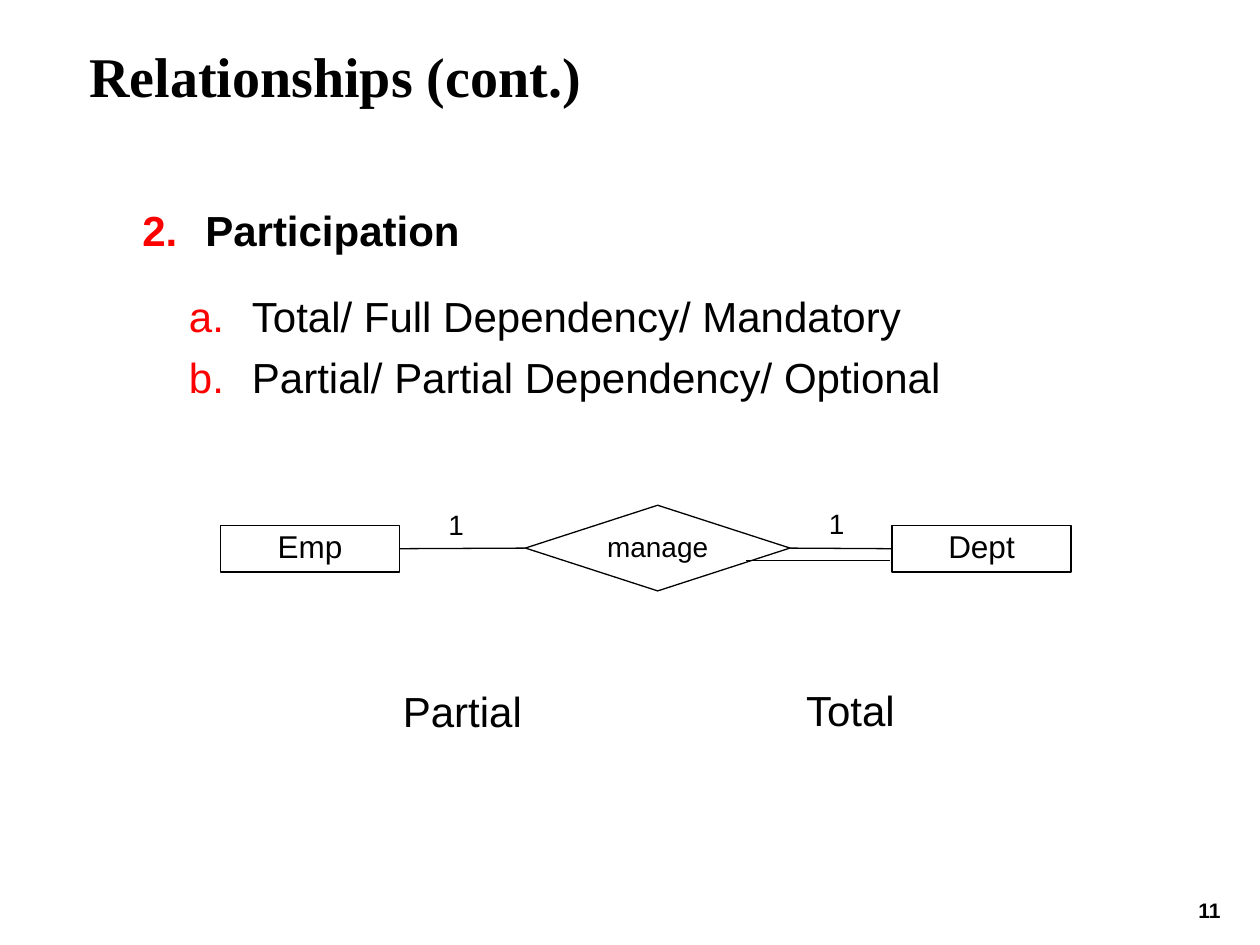
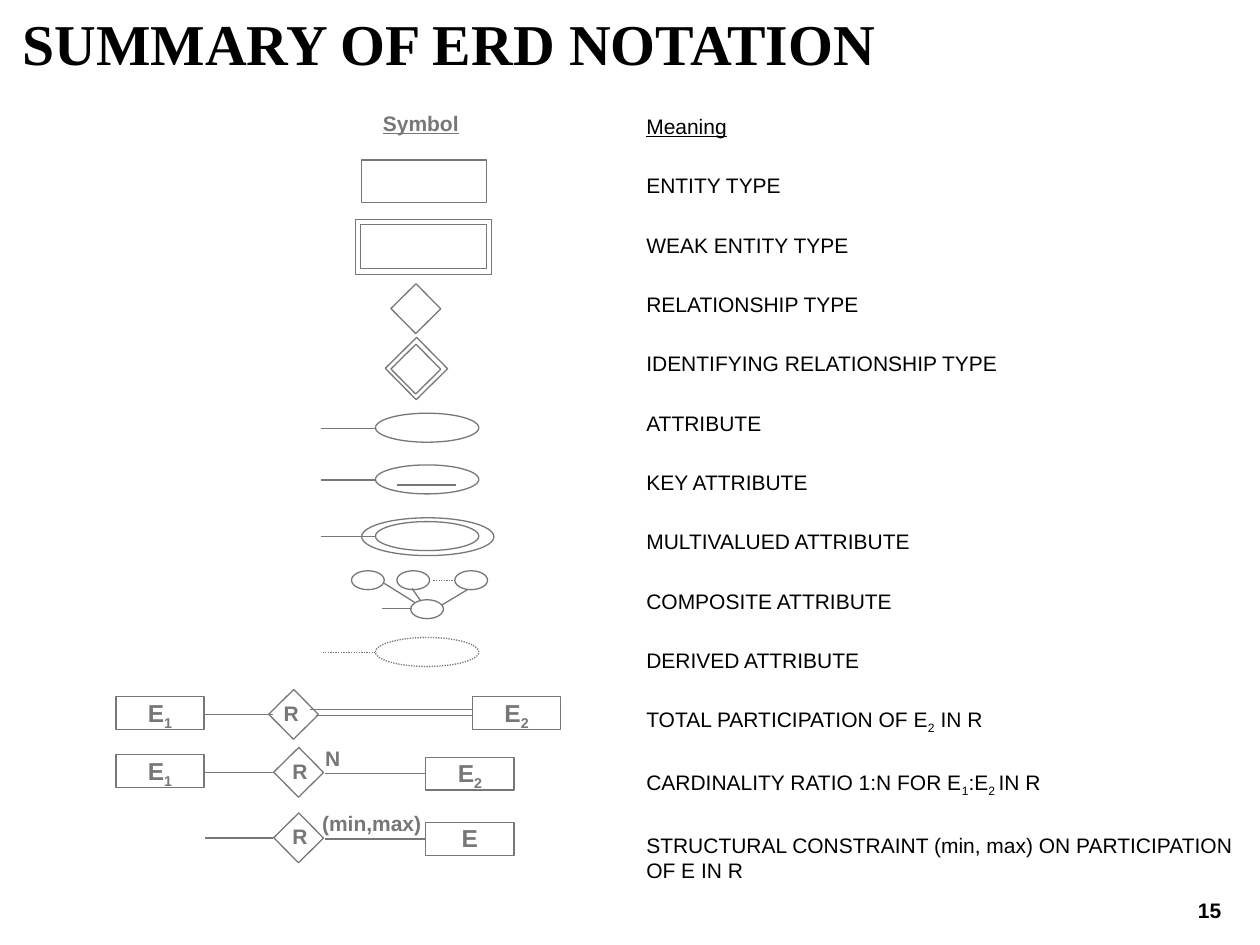
from pptx import Presentation
from pptx.dml.color import RGBColor
from pptx.enum.dml import MSO_LINE
from pptx.enum.shapes import MSO_CONNECTOR, MSO_SHAPE
from pptx.enum.text import MSO_ANCHOR, PP_ALIGN
from pptx.oxml.ns import qn
from pptx.util import Inches, Pt
from lxml.etree import SubElement

BLACK = RGBColor(0x00, 0x00, 0x00)
GRAY = RGBColor(0x77, 0x77, 0x77)
RED = RGBColor(0xFD, 0x00, 0x00)
BODY_FONT = "Arial"
TITLE_FONT = "Times New Roman"

MEANINGS = [
    "ENTITY TYPE",
    "WEAK ENTITY TYPE",
    "RELATIONSHIP TYPE",
    "IDENTIFYING RELATIONSHIP TYPE",
    "ATTRIBUTE",
    "KEY ATTRIBUTE",
    "MULTIVALUED ATTRIBUTE",
    "COMPOSITE ATTRIBUTE",
    "DERIVED ATTRIBUTE",
    "TOTAL PARTICIPATION OF E~2~ IN R",
    "CARDINALITY RATIO 1:N FOR E~1~:E~2 ~IN R",
    "STRUCTURAL CONSTRAINT (min, max) ON PARTICIPATION OF E IN R",
]


def write(p, text, size=12, font=BODY_FONT, color=BLACK, bold=False, underline=False,
          align=PP_ALIGN.LEFT, spacing=1.0, before=0, after=0):
    p.alignment = align
    p.line_spacing = spacing
    p.space_before, p.space_after = Pt(before), Pt(after)
    for i, part in enumerate(text.split("~")):
        if not part:
            continue
        r = p.add_run()
        r.text = part
        r.font.size, r.font.name = Pt(size), font
        r.font.bold, r.font.underline = bold, underline
        r.font.color.rgb = color
        if i % 2:
            r.font._element.set("baseline", "-25000")


def set_frame(tf, inset_x, inset_y, wrap, anchor=MSO_ANCHOR.TOP):
    tf.word_wrap = wrap
    tf.vertical_anchor = anchor
    tf.margin_left = tf.margin_right = Inches(inset_x)
    tf.margin_top = tf.margin_bottom = Inches(inset_y)


def add_frame(s, box, inset_x=0, inset_y=0, wrap=True):
    tf = s.shapes.add_textbox(*map(Inches, box)).text_frame
    set_frame(tf, inset_x, inset_y, wrap)
    return tf


def add_label(s, box, text, inset_x=0.1, inset_y=0.05, **fmt):
    tf = add_frame(s, box, inset_x, inset_y, wrap=False)
    write(tf.paragraphs[0], text, align=PP_ALIGN.CENTER, spacing=0.9, **fmt)


def add_outline(s, kind, box, text="", color=GRAY, dash=None, **fmt):
    sp = s.shapes.add_shape(kind, *map(Inches, box))
    sp.shadow.inherit = False
    sp.fill.background()
    sp.line.color.rgb = color
    sp.line.width = Pt(0.75)
    sp.line.dash_style = dash
    if text:
        set_frame(sp.text_frame, 0, 0, False, MSO_ANCHOR.MIDDLE)
        write(sp.text_frame.paragraphs[0], text, color=color,
              align=PP_ALIGN.CENTER, spacing=0.9, **fmt)
    return sp


def add_line(s, x1, y1, x2, y2, color=GRAY, dash=None, start=None, end=None):
    c = s.shapes.add_connector(MSO_CONNECTOR.STRAIGHT, *map(Inches, (x1, y1, x2, y2)))
    c.line.color.rgb = color
    c.line.width = Pt(0.75)
    c.line.dash_style = dash
    SubElement(c._element.spPr, qn("a:effectLst"))
    if start:
        c.begin_connect(start, 3)
    if end:
        c.end_connect(end, 1)


def add_base(prs, title, box, size, number, inset_x=0):
    s = prs.slides.add_slide(prs.slide_layouts[6])
    add_label(s, (9.35, 7.1, 0.5, 0.28), number, bold=True)
    write(add_frame(s, box, inset_x).paragraphs[0], title,
          size=size, font=TITLE_FONT, bold=True)
    return s


def add_numbered(p, text, level, indent, scheme, start=1, **fmt):
    p.level = level
    write(p, text, size=24, before=6, **fmt)
    pPr = p._p.get_or_add_pPr()
    pPr.set("marL", str(Inches(indent)))
    pPr.set("indent", str(Inches(-0.5)))
    clr = SubElement(pPr, qn("a:buClr"))
    SubElement(clr, qn("a:srgbClr"), val=str(RED))
    SubElement(pPr, qn("a:buAutoNum"), type=scheme, startAt=str(start))


def add_participation_list(s, box):
    tf = add_frame(s, box)
    add_numbered(tf.paragraphs[0], "Participation", 1, 0.88, "arabicPeriod", 2,
                 bold=True, spacing=1.5)
    for text, spacing in (("Total/ Full Dependency/ Mandatory", 1.5),
                          ("Partial/ Partial Dependency/ Optional", 1.0)):
        add_numbered(tf.add_paragraph(), text, 2, 1.25, "alphaLcPeriod", spacing=spacing)


def add_participation_diagram(s, x, y):
    emp, dept = [add_outline(s, MSO_SHAPE.RECTANGLE, (x + dx, y + 0.16, 1.42, 0.37),
                             name, BLACK, size=18)
                 for dx, name in ((0, "Emp"), (5.33, "Dept"))]
    manage = add_outline(s, MSO_SHAPE.FLOWCHART_DECISION, (x + 2.42, y, 2.1, 0.68),
                         "manage", BLACK, size=16)
    add_line(s, x + 1.42, y + 0.34, x + 2.42, y + 0.34, BLACK, start=emp, end=manage)
    add_line(s, x + 4.52, y + 0.34, x + 5.33, y + 0.34, BLACK, start=manage, end=dept)
    add_line(s, x + 4.17, y + 0.44, x + 5.31, y + 0.44, BLACK)
    for ratio_x, kind_x, dy, kind in ((1.67, 0.92, 0, "Partial"), (4.69, 4, -0.01, "Total")):
        add_label(s, (x + ratio_x, y + dy, 0.4, 0.34), "1", size=16)
        add_label(s, (x + kind_x, y + 1.43 + dy, 2, 0.46), kind, size=24)


def add_meanings(s, box):
    tf = add_frame(s, box)
    write(tf.paragraphs[0], "Meaning", underline=True, before=9, after=10.5)
    for text in MEANINGS:
        write(tf.add_paragraph(), text, before=9, after=10.5)


def add_diamond(s, x, y, side=0.28):
    add_outline(s, MSO_SHAPE.RECTANGLE, (x, y, side, side)).rotation = 45.4


def add_entity_symbols(s, x, y):
    for dx, dy, w, h in ((0.05, 0, 0.99, 0.34), (0.04, 0.51, 1, 0.35), (0, 0.47, 1.08, 0.44)):
        add_outline(s, MSO_SHAPE.RECTANGLE, (x + dx, y + dy, w, h))
    add_diamond(s, x + 0.34, y + 1.04)
    add_diamond(s, x + 0.34, y + 1.52)
    add_diamond(s, x + 0.31, y + 1.48, 0.35)


def add_attribute(s, x, y, dash=None, key=False, multivalued=False):
    add_outline(s, MSO_SHAPE.OVAL, (x + 0.43, y, 0.82, 0.23), dash=dash)
    add_line(s, x + 0.43, y + 0.12, x, y + 0.12, dash=dash)
    if key:
        add_line(s, x + 0.6, y + 0.16, x + 1.07, y + 0.16)
    if multivalued:
        add_outline(s, MSO_SHAPE.OVAL, (x + 0.32, y - 0.03, 1.05, 0.3))


def add_composite(s, x, y):
    for dx, dy in ((0, 0), (0.36, 0), (0.82, 0), (0.47, 0.23)):
        add_outline(s, MSO_SHAPE.OVAL, (x + dx, y + dy, 0.26, 0.15))
    for x1, y1, x2, y2 in ((0.48, 0.3, 0.24, 0.3), (0.26, 0.1, 0.5, 0.25),
                           (0.48, 0.14, 0.55, 0.24), (0.72, 0.27, 0.92, 0.15)):
        add_line(s, x + x1, y + y1, x + x2, y + y2)
    add_line(s, x + 0.65, y + 0.08, x + 0.81, y + 0.08, dash=MSO_LINE.ROUND_DOT)


def add_entity(s, x, y, name):
    return add_outline(s, MSO_SHAPE.RECTANGLE, (x, y, 0.7, 0.26), name, size=14, bold=True)


def add_relation(s, x, y, right, first="", total=False, dx=1.31, r_dx=1.3):
    if first:
        add_entity(s, x, y, first)
    add_line(s, x + 0.71, y + 0.14, x + 1.25, y + 0.14)
    add_diamond(s, x + dx, y)
    add_label(s, (x + r_dx, y, 0.32, 0.28), "R", color=GRAY, bold=True)
    if total:
        add_entity(s, x + 2.83, y, right)
        add_line(s, x + 1.54, y + 0.1, x + 2.83, y + 0.1)
        add_line(s, x + 1.59, y + 0.15, x + 2.83, y + 0.15)
    else:
        entity = add_entity(s, x + 2.46, y + 0.02, right)
        add_line(s, x + 1.66, y + 0.15, x + 2.46, y + 0.15, end=entity)


def add_symbols(s, x, y):
    add_label(s, (x + 2.02, y, 0.8, 0.18), "Symbol", inset_y=0, color=GRAY,
              bold=True, underline=True)
    add_entity_symbols(s, x + 1.9, y + 0.37)
    add_attribute(s, x + 1.63, y + 2.38)
    add_attribute(s, x + 1.63, y + 2.79, key=True)
    add_attribute(s, x + 1.63, y + 3.24, multivalued=True)
    add_composite(s, x + 1.87, y + 3.63)
    add_attribute(s, x + 1.63, y + 4.16, dash=MSO_LINE.ROUND_DOT)
    add_relation(s, x, y + 4.63, "E~2~", "E~1~", total=True, dx=1.27, r_dx=1.23)
    add_relation(s, x, y + 5.09, "E~2~", "E~1~")
    add_relation(s, x, y + 5.61, "E")
    add_label(s, (x + 1.56, y + 4.99, 0.32, 0.28), "N", color=GRAY, bold=True)
    add_label(s, (x + 1.54, y + 5.51, 0.98, 0.28), "(min,max)", inset_x=0,
              color=GRAY, bold=True)


def build_participation(prs):
    s = add_base(prs, "Relationships (cont.)", (0.71, 0.33, 8.29, 1.03), 32, "11")
    add_participation_list(s, (0.75, 1.42, 8.24, 5.08))
    add_participation_diagram(s, 1.75, 4.01)


def build_notation(prs):
    s = add_base(prs, "SUMMARY OF ERD NOTATION", (0.08, 0.06, 9.92, 0.61), 33, "15", 0.1)
    add_meanings(s, (5.13, 0.9, 4.83, 6.11))
    add_symbols(s, 0.92, 0.9)


def main():
    prs = Presentation()
    prs.slide_width, prs.slide_height = Inches(10), Inches(7.5)
    build_participation(prs)
    build_notation(prs)
    prs.save("out.pptx")


if __name__ == "__main__":
    main()
